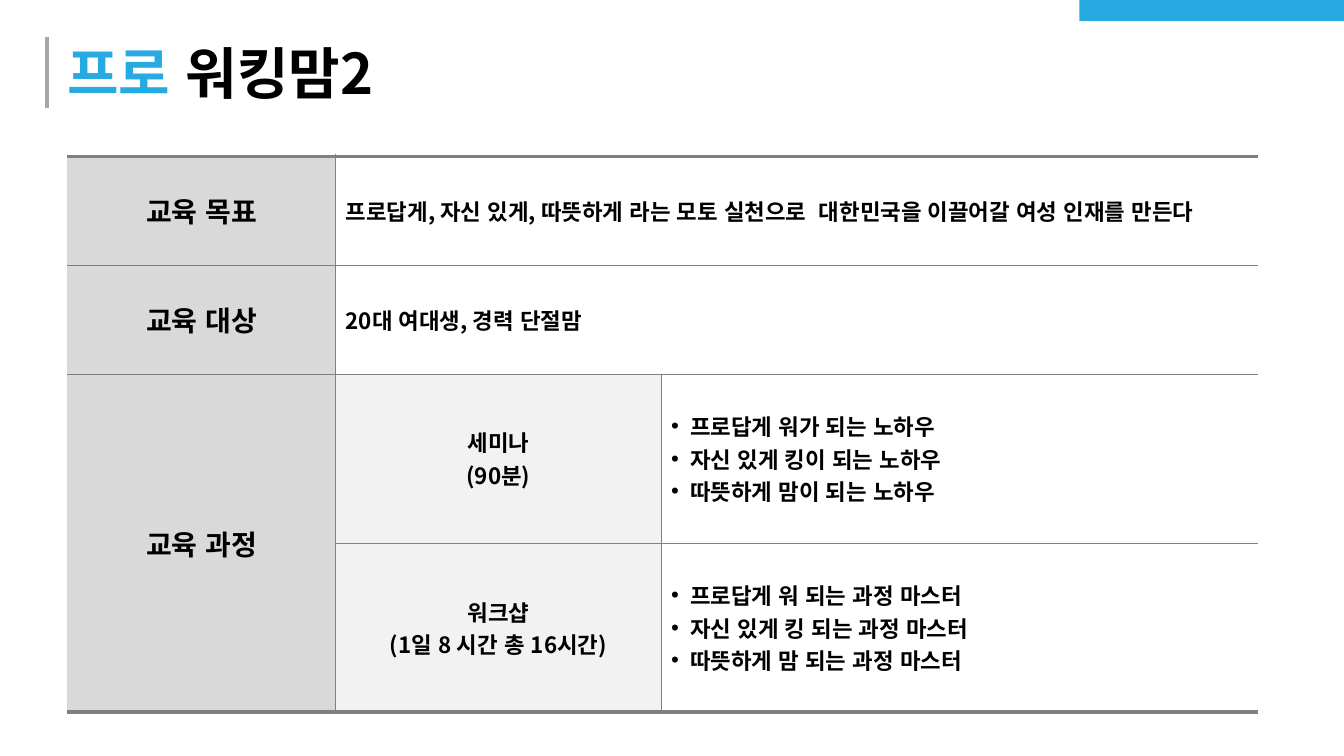
from lxml.etree import SubElement
from pptx import Presentation
from pptx.dml.color import RGBColor
from pptx.enum.lang import MSO_LANGUAGE_ID
from pptx.enum.shapes import MSO_CONNECTOR, MSO_SHAPE
from pptx.enum.text import MSO_ANCHOR, PP_ALIGN
from pptx.oxml import parse_xml
from pptx.oxml.ns import nsdecls, qn
from pptx.util import Cm, Pt

FONT = "Noto Sans CJK KR"
BLUE, BLACK, GRAY = "27AAE1", "000000", "808080"


def color(code):
    return RGBColor.from_string(code)


def add_run(par, text, size, code=BLACK):
    run = par.add_run()
    run.text = text
    font = run.font
    font.name, font.size, font.bold = FONT, Pt(size), True
    font.color.rgb = color(code)
    font.language_id = MSO_LANGUAGE_ID.KOREAN
    SubElement(font._element, qn("a:ea")).set("typeface", FONT)


deck = Presentation()
deck.slide_width, deck.slide_height = Cm(33.87), Cm(19.05)
slide = deck.slides.add_slide(deck.slide_layouts[6])
shapes = slide.shapes

# Corner bar
bar = shapes.add_shape(MSO_SHAPE.RECTANGLE, Cm(27.2), Cm(0), Cm(6.67), Cm(0.53))
bar.shadow.inherit = False
bar.fill.solid()
bar.fill.fore_color.rgb = color(BLUE)
bar.line.fill.background()

# Title with its side rule
rule = shapes.add_connector(MSO_CONNECTOR.STRAIGHT, Cm(1.19), Cm(0.92), Cm(1.19), Cm(2.72))
rule.line.color.rgb = color("A6A6A6")
rule.line.width = Pt(3)
SubElement(rule._element.spPr, qn("a:effectLst"))

title = shapes.add_textbox(Cm(1.7), Cm(0.97), Cm(25.5), Cm(1.7)).text_frame
title.word_wrap = True
title.vertical_anchor = MSO_ANCHOR.MIDDLE
title.margin_left = title.margin_right = title.margin_top = title.margin_bottom = 0
add_run(title.paragraphs[0], "프로", 40, BLUE)
add_run(title.paragraphs[0], " 워킹맘2", 40)

# Table grid
wides = [6.76, 8.2, 15.04]
highs = [2.74, 2.74, 4.26, 4.26]
frame = shapes.add_table(4, 3, Cm(1.7), Cm(3.94), Cm(sum(wides)), Cm(sum(highs)))
table = frame.table
table.first_row = table.horz_banding = False
style = table._tbl.tblPr.find(qn("a:tableStyleId"))
style.text = "{2D5ABB26-0587-4C30-8999-92F81FD0307C}"
for col, wide in zip(table.columns, wides):
    col.width = Cm(wide)
for row, high in zip(table.rows, highs):
    row.height = Cm(high)
for r in (0, 1):
    table.cell(r, 1).merge(table.cell(r, 2))
table.cell(2, 0).merge(table.cell(3, 0))

# Cell fills and borders
fills = {0: "D9D9D9", 1: "F2F2F2"}
for r in range(4):
    for c in range(3):
        cell = table.cell(r, c)
        cell.vertical_anchor = MSO_ANCHOR.MIDDLE
        if c == 0 or (c == 1 and r > 1):
            cell.fill.solid()
            cell.fill.fore_color.rgb = color(fills[c])
        else:
            cell.fill.background()
        joined = r < 2
        last = r == 3 or (r, c) == (2, 0)
        sides = {
            "L": 0.5 if c == 1 or (c == 2 and not joined) else 0,
            "R": 0.5 if c == 0 or (c == 1 and not joined) else 0,
            "T": 3 if r == 0 else 0 if (r, c) == (3, 0) else 0.5,
            "B": 3 if last else 0.5,
        }
        props = cell._tc.get_or_add_tcPr()
        for spot, (side, width) in enumerate(sides.items()):
            paint = f'<a:solidFill><a:srgbClr val="{GRAY}"/></a:solidFill>' if width else "<a:noFill/>"
            props.insert(spot, parse_xml(
                f'<a:ln{side} {nsdecls("a")} w="{Pt(width)}">{paint}</a:ln{side}>'))

# Row heads
for r, head in enumerate(["교육 목표", "교육 대상", "교육 과정"]):
    par = table.cell(r, 0).text_frame.paragraphs[0]
    par.alignment = PP_ALIGN.CENTER
    add_run(par, head, 20)

# Goal and audience
facts = [
    "프로답게, 자신 있게, 따뜻하게 라는 모토 실천으로  대한민국을 이끌어갈 여성 인재를 만든다",
    "20대 여대생, 경력 단절맘",
]
for r, fact in enumerate(facts):
    add_run(table.cell(r, 1).text_frame.paragraphs[0], fact, 16)

# Courses with their bullets
courses = [
    ("세미나", "(90분)",
     ["프로답게 워가 되는 노하우", "자신 있게 킹이 되는 노하우", "따뜻하게 맘이 되는 노하우"]),
    ("워크샵", "(1일 8 시간 총 16시간)",
     ["프로답게 워 되는 과정 마스터", "자신 있게 킹 되는 과정 마스터", "따뜻하게 맘 되는 과정 마스터"]),
]
for r, (name, time, points) in enumerate(courses, 2):
    par = table.cell(r, 1).text_frame.paragraphs[0]
    par.alignment = PP_ALIGN.CENTER
    add_run(par, name, 16)
    par.add_line_break()
    add_run(par, time, 16)

    body = table.cell(r, 2).text_frame
    for n, point in enumerate(points):
        par = body.add_paragraph() if n else body.paragraphs[0]
        add_run(par, point, 16)
        props = par._p.get_or_add_pPr()
        props.set("marL", str(Cm(0.48)))
        props.set("indent", str(-Cm(0.48)))
        SubElement(props, qn("a:buFont")).set("typeface", "Arial")
        SubElement(props, qn("a:buChar")).set("char", "•")

deck.save("out.pptx")
